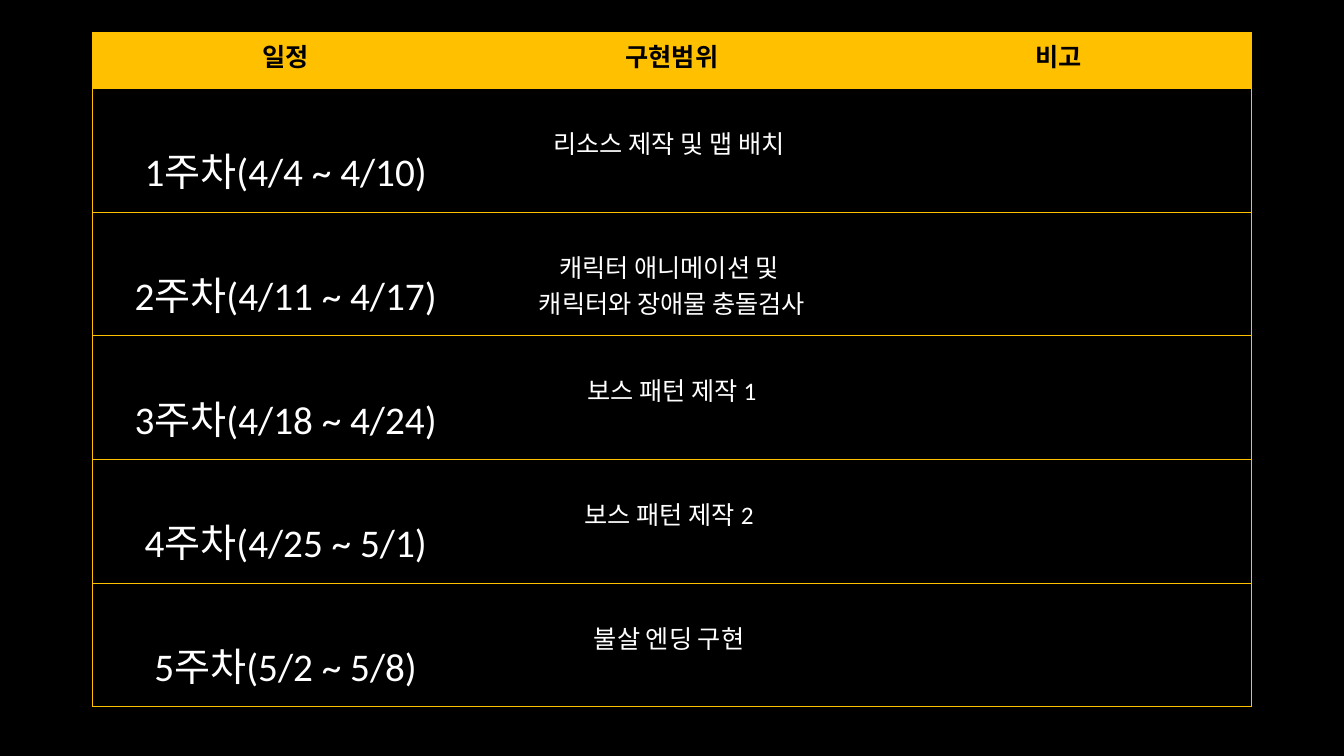
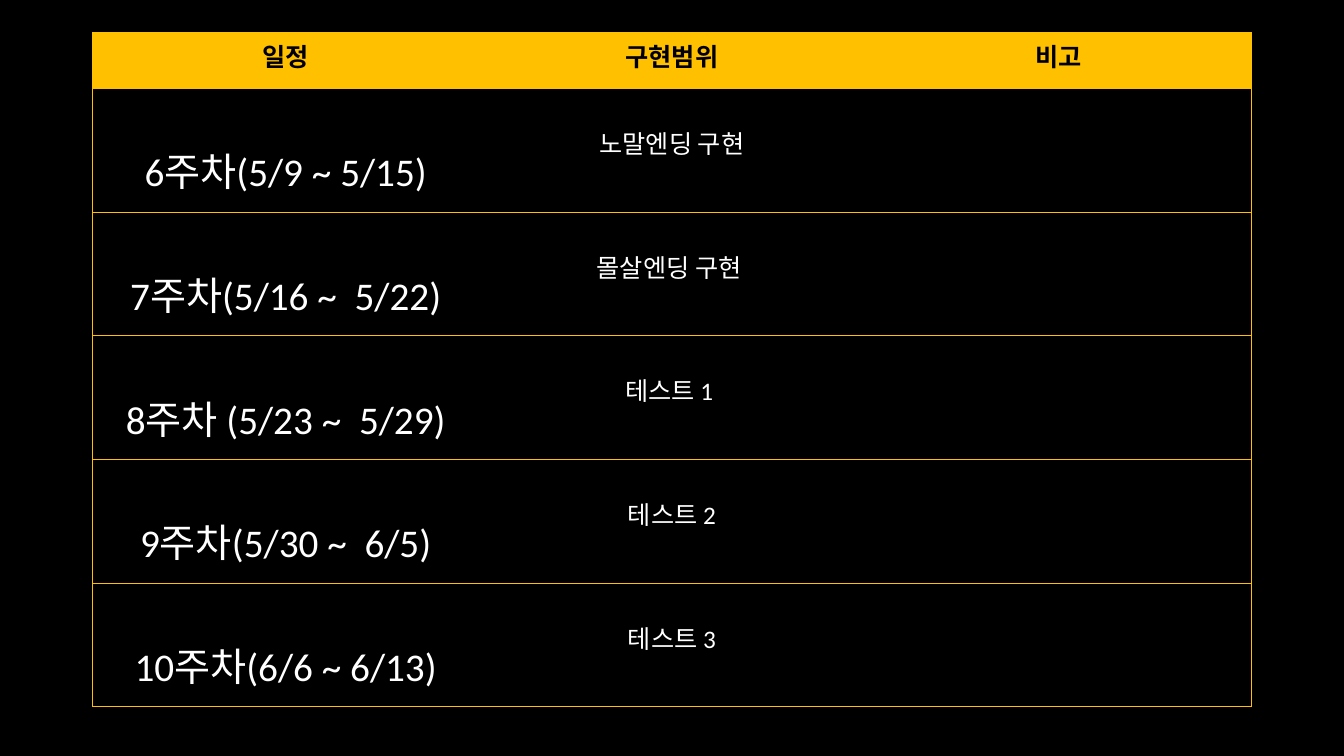
from lxml import etree
from pptx import Presentation
from pptx.dml.color import RGBColor
from pptx.enum.text import PP_ALIGN
from pptx.oxml.ns import qn
from pptx.util import Cm, Pt

CENTER = PP_ALIGN.CENTER
FONT = "Calibri"
BLACK, WHITE, GOLD = "000000", "FFFFFF", "FFC000"
LEFT, TOP, WIDTH = Cm(2.33), Cm(0.81), Cm(29.21)
HEADER_HEIGHT, WEEK_HEIGHT = Cm(1.42), Cm(3.115)
MARGIN = Cm(0.13)
WEEK_SIZE, TASK_SIZE = 28, 18
LINE_SPACING = 1.22
HEADERS = ["일정", "구현범위", "비고"]
SCHEDULES = [
    [
        ("1주차(4/4 ~ 4/10)", "리소스 제작 및 맵 배치 "),
        ("2주차(4/11 ~ 4/17)", "캐릭터 애니메이션 및 \n캐릭터와 장애물 충돌검사"),
        ("3주차(4/18 ~ 4/24)", "보스 패턴 제작 1"),
        ("4주차(4/25 ~ 5/1)", "보스 패턴 제작 2 "),
        ("5주차(5/2 ~ 5/8)", "불살 엔딩 구현 "),
    ],
    [
        ("6주차(5/9 ~ 5/15)", "노말엔딩 구현"),
        ("7주차(5/16 ~  5/22)", "몰살엔딩 구현 "),
        ("8주차 (5/23 ~  5/29)", "테스트 1 "),
        ("9주차(5/30 ~  6/5)", "테스트 2"),
        ("10주차(6/6 ~ 6/13)", "테스트 3"),
    ],
]


def color(value):
    return RGBColor.from_string(value)


def paint(fill, value):
    fill.solid()
    fill.fore_color.rgb = color(value)


def set_borders(cell, visible_sides):
    properties = cell._tc.get_or_add_tcPr()
    for position, side in enumerate("LRTB"):
        line = etree.Element(qn(f"a:ln{side}"), w=str(Pt(0.5)))
        if side in visible_sides:
            solid = etree.SubElement(line, qn("a:solidFill"))
            etree.SubElement(solid, qn("a:srgbClr"), val=GOLD)
        else:
            etree.SubElement(line, qn("a:noFill"))
        properties.insert(position, line)


def write_cell(cell, text, size, text_color, bold=False):
    cell.text_frame.text = text
    for paragraph in cell.text_frame.paragraphs:
        paragraph.alignment = CENTER
        for run in paragraph.runs:
            run.font.name = FONT
            run.font.size = Pt(size)
            run.font.bold = bold
            run.font.color.rgb = color(text_color)


def frame_cells(table):
    last_column = len(table.columns) - 1
    for row in table.rows:
        for column, cell in enumerate(row.cells):
            sides = "TB"
            if column == 0:
                sides += "L"
            if column == last_column:
                sides += "R"
            set_borders(cell, sides)


def add_schedule(slide, weeks):
    height = HEADER_HEIGHT + WEEK_HEIGHT * len(weeks)
    frame = slide.shapes.add_table(
        len(weeks) + 1, len(HEADERS), LEFT, TOP, WIDTH, height)
    table = frame.table
    table.horz_banding = False
    table.rows[0].height = HEADER_HEIGHT
    for cell, text in zip(table.rows[0].cells, HEADERS):
        paint(cell.fill, GOLD)
        cell.margin_top = MARGIN
        write_cell(cell, text, TASK_SIZE, BLACK, bold=True)
    for index, (week, task) in enumerate(weeks, start=1):
        row = table.rows[index]
        row.height = WEEK_HEIGHT
        for cell in row.cells:
            paint(cell.fill, BLACK)
        for column, (text, size) in enumerate([(week, WEEK_SIZE), (task, TASK_SIZE)]):
            cell = table.cell(index, column)
            cell.margin_top = MARGIN + Pt(size * LINE_SPACING)
            write_cell(cell, text, size, WHITE)
    frame_cells(table)


def main():
    presentation = Presentation()
    presentation.slide_width = Cm(33.87)
    presentation.slide_height = Cm(19.05)
    paint(presentation.slide_master.background.fill, BLACK)
    blank_layout = presentation.slide_layouts[6]
    for weeks in SCHEDULES:
        slide = presentation.slides.add_slide(blank_layout)
        add_schedule(slide, weeks)
    presentation.save("out.pptx")


main()
